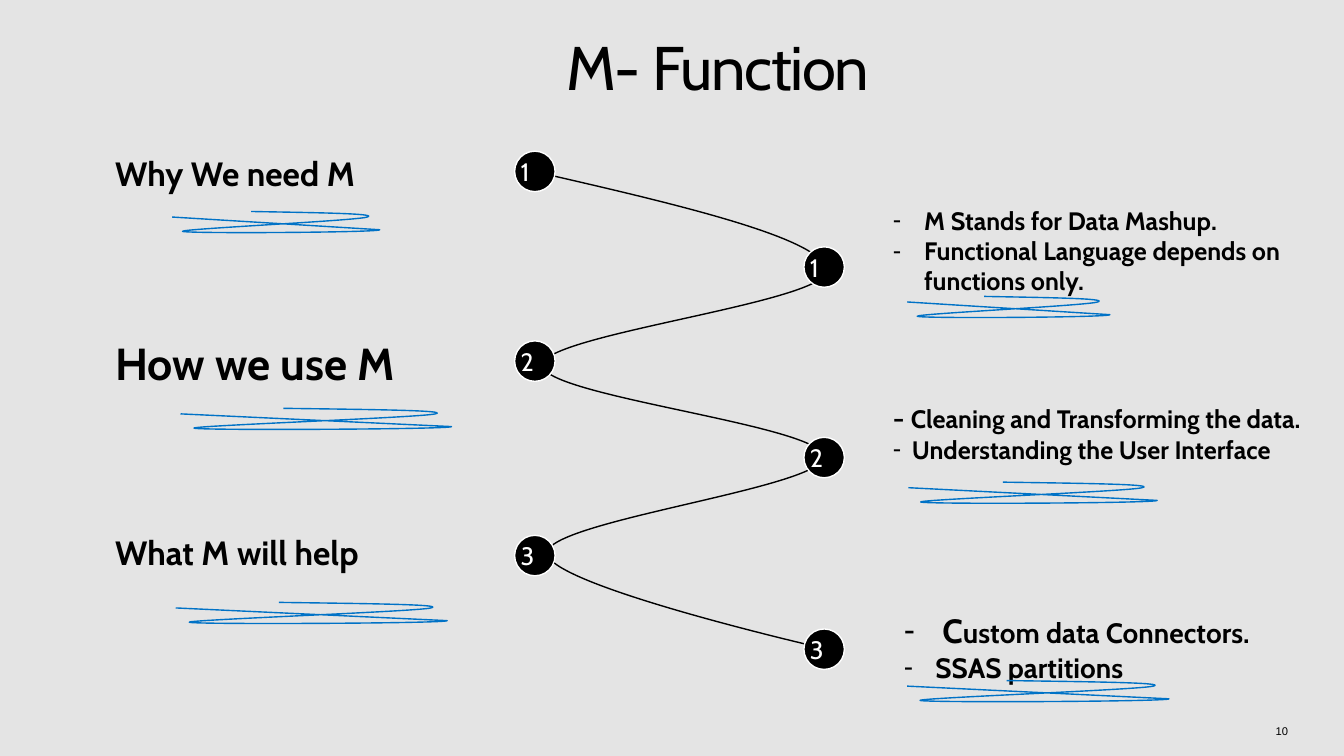
import pptx
import pptx.dml.color
import pptx.enum.shapes
import pptx.enum.text
import pptx.oxml
import pptx.util
from lxml import etree
from pptx.util import Cm

ALIGN = pptx.enum.text.PP_ALIGN
ANCHOR = pptx.enum.text.MSO_ANCHOR
NAMESPACE = "http://schemas.openxmlformats.org/drawingml/2006/main"


def style(item, size, color="000000", bold=False, name="Cabin"):
    """Format the font of a run or paragraph."""
    item.font.size = pptx.util.Pt(size)
    item.font.name = name
    item.font.bold = bold
    item.font.color.rgb = pptx.dml.color.RGBColor.from_string(color)


def draw_curve(start, segments, color):
    """Draw lines (one point) and cubic curves (three points), given in cm."""
    builder = slide.shapes.build_freeform(Cm(start[0]), Cm(start[1]))
    builder.add_line_segments(
        [(Cm(x), Cm(y)) for segment in segments for x, y in segment], close=False)
    curve = builder.convert_to_shape()
    lines = iter(curve.element.findall(f".//{{{NAMESPACE}}}lnTo"))
    for segment in segments:
        group = [next(lines) for _ in segment]
        if len(group) == 3:
            bezier = etree.Element(f"{{{NAMESPACE}}}cubicBezTo")
            group[0].addprevious(bezier)
            for line in group:
                bezier.append(line[0])
                line.getparent().remove(line)
    curve.shadow.inherit = False
    curve.fill.background()
    curve.line.color.rgb = pptx.dml.color.RGBColor.from_string(color)
    curve.line.width = pptx.util.Pt(1)


deck = pptx.Presentation()
deck.slide_width, deck.slide_height = Cm(33.87), Cm(19.05)
deck.element.set("firstSlideNum", "10")
slide = deck.slides.add_slide(deck.slide_layouts.get_by_name("Comparison"))
slide.background.fill.solid()
slide.background.fill.fore_color.rgb = pptx.dml.color.RGBColor.from_string("E4E4E4")

# Title
title = slide.shapes.title
title.left, title.top, title.width, title.height = Cm(5.49), Cm(0.48), Cm(25.2), Cm(2.39)
frame = title.text_frame
frame.text = "M- Function"
frame.vertical_anchor = ANCHOR.TOP
frame.auto_size = pptx.enum.text.MSO_AUTO_SIZE.NONE
frame.margin_left = frame.margin_right = Cm(0.41)
frame.margin_top = frame.margin_bottom = Cm(0.25)
para = frame.paragraphs[0]
para.alignment = ALIGN.CENTER
style(para.runs[0], 44)
para.runs[0].font._element.set("spc", "-100")

# Headings on the left
headings = [("Why We need M", 24, 7.72), ("How we use M", 32, 8.71), ("What M will help", 24, 11.46)]
for row, (heading, size, width) in enumerate(headings):
    box = slide.shapes.add_textbox(Cm(2.9), Cm(3.33 + 4.78 * row), Cm(width), Cm(2.06))
    frame = box.text_frame
    frame.text = heading
    frame.word_wrap = True
    frame.vertical_anchor = ANCHOR.MIDDLE
    frame.margin_left = frame.margin_top = frame.margin_right = frame.margin_bottom = 0
    style(frame.paragraphs[0].runs[0], size, bold=True)

# Lists on the right: each line is its hanging indent in cm and its (text, size) runs
lists = [
    (2, 22.5, 5.28, 11.3, [
        (0.79, [("M Stands for Data Mashup.", 18)]),
        (0.79, [("Functional Language depends on functions only.", 18)])]),
    (3, 22.5, 9.86, 11.38, [
        (0, [("- ", 20), ("Cleaning and Transforming the data.", 18)]),
        (0.48, [("Understanding the User Interface", 18)])]),
    (4, 22.78, 15.27, 9.58, [
        (0.97, [("C", 24), ("ustom data Connectors.", 20)]),
        (0.79, [("SSAS partitions", 20)])]),
]
bodies = {body.placeholder_format.idx: body for body in slide.placeholders}
for index, left, top, width, lines in lists:
    body = bodies[index]
    body.left, body.top, body.width, body.height = Cm(left), Cm(top), Cm(width), Cm(2.06)
    frame = body.text_frame
    frame.word_wrap = True
    frame.auto_size = pptx.enum.text.MSO_AUTO_SIZE.NONE
    frame.vertical_anchor = ANCHOR.MIDDLE
    frame.margin_left = frame.margin_top = frame.margin_right = frame.margin_bottom = 0
    for number, (indent, spans) in enumerate(lines):
        para = frame.paragraphs[0] if number == 0 else frame.add_paragraph()
        para.space_before = pptx.util.Pt(0)
        para.alignment = ALIGN.LEFT
        properties = para._p.get_or_add_pPr()
        properties.set("marL", str(Cm(indent)))
        properties.set("indent", str(-Cm(indent)))
        if indent:
            etree.SubElement(properties, f"{{{NAMESPACE}}}buFont", typeface="Arial")
            etree.SubElement(properties, f"{{{NAMESPACE}}}buChar", char="-")
        else:
            etree.SubElement(properties, f"{{{NAMESPACE}}}buNone")
        for text, size in spans:
            span = para.add_run()
            span.text = text
            style(span, size, bold=True)
bodies[1].element.getparent().remove(bodies[1].element)

# Winding path with numbered stops
draw_curve((13.23, 4.27), [
    ((17, 5.13), (20.75, 6), (20.83, 6.81)),
    ((20.9, 7.62), (13.67, 8.43), (13.67, 9.2)),
    ((13.64, 9.98), (20.75, 10.72), (20.75, 11.51)),
    ((20.78, 12.29), (13.77, 13.13), (13.79, 13.94)),
    ((13.82, 14.76), (20.85, 16.36), (20.85, 16.36)),
], "000000")
for stop, top in enumerate([3.81, 6.22, 8.59, 11.02, 13.49, 15.85]):
    dot = slide.shapes.add_shape(
        pptx.enum.shapes.MSO_SHAPE.OVAL,
        Cm((12.97, 20.26)[stop % 2]), Cm(top), Cm(1.02), Cm(1.02))
    dot.shadow.inherit = False
    dot.fill.solid()
    dot.fill.fore_color.rgb = pptx.dml.color.RGBColor.from_string("000000")
    dot.line.color.rgb = pptx.dml.color.RGBColor.from_string("FFFFFF")
    dot.line.width = pptx.util.Pt(1)
    frame = dot.text_frame
    frame.text = str(stop // 2 + 1)
    frame.word_wrap = False
    frame.vertical_anchor = ANCHOR.MIDDLE
    frame.margin_left = frame.margin_top = frame.margin_right = frame.margin_bottom = 0
    frame.paragraphs[0].alignment = ALIGN.LEFT
    style(frame.paragraphs[0].runs[0], 18, "FFFFFF")

# Scribbled underlines: x as a share of the width, y in cm
scribble = [
    ((1, 0.46),),
    ((1.01, 0.53), (0.06, 0.56), (0.05, 0.5)),
    ((0.04, 0.44), (0.89, 0.23), (0.94, 0.14)),
    ((1, 0.05), (0.69, 0.03), (0.38, 0)),
]
underlines = [(4.34, 5.33, 5.23), (22.86, 7.47, 5.11), (4.55, 10.29, 6.83),
              (22.89, 12.15, 6.27), (4.43, 15.18, 6.84), (22.86, 17.15, 6.6)]
for left, top, width in underlines:
    strokes = [[(left + x * width, top + y) for x, y in segment] for segment in scribble]
    draw_curve((left, top + 0.14), strokes, "0072C6")

# Page number
page = slide.shapes.add_textbox(Cm(31.8), Cm(18.24), Cm(0.66), Cm(0.38))
frame = page.text_frame
frame.word_wrap = True
frame.margin_left = frame.margin_top = frame.margin_right = frame.margin_bottom = 0
para = frame.paragraphs[0]
para.alignment = ALIGN.RIGHT
para._p.append(pptx.oxml.parse_xml(
    f'<a:fld xmlns:a="{NAMESPACE}" id="{{B6F15528-21DE-4FAA-801E-634DDDAF4B2B}}" type="slidenum">'
    '<a:rPr lang="en-US" sz="800"><a:solidFill><a:srgbClr val="000000"/></a:solidFill>'
    '<a:latin typeface="Arial"/></a:rPr><a:t>10</a:t></a:fld>'))

deck.save("out.pptx")
